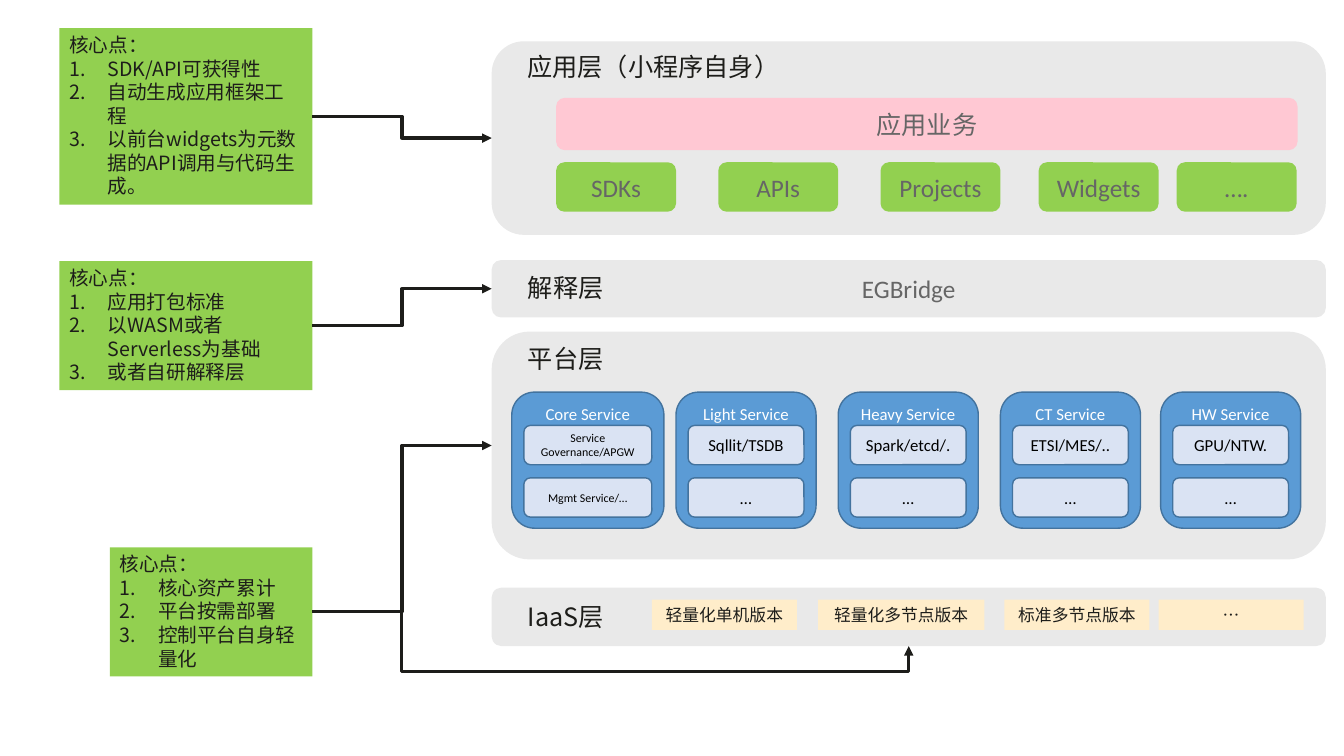
from collections import namedtuple

from lxml.etree import SubElement
from pptx import Presentation
from pptx.dml.color import RGBColor
from pptx.enum.shapes import MSO_CONNECTOR as Connector, MSO_SHAPE as Shape
from pptx.enum.text import MSO_ANCHOR as Anchor, PP_ALIGN as Align
from pptx.oxml.ns import qn
from pptx.util import Inches, Pt

# The slide is a grid of square cells, 133.4 columns by 75 rows
CELL = Inches(0.1)
COLUMNS, ROWS = 133.4, 75
Box = namedtuple("Box", "left top width height")

LATIN, CJK = "Calibri", "Noto Sans CJK SC"
WHITE = RGBColor(0xFF, 0xFF, 0xFF)
BLACK = RGBColor(0x00, 0x00, 0x00)
INK = RGBColor(0x1D, 0x1D, 0x1A)
GRAY = RGBColor(0x66, 0x66, 0x66)
PANEL = RGBColor(0xE9, 0xE9, 0xE9)
GREEN = RGBColor(0x92, 0xD0, 0x50)
PINK = RGBColor(0xFF, 0xC8, 0xD3)
CREAM = RGBColor(0xFF, 0xED, 0xCA)
BLUE = RGBColor(0x5B, 0x9B, 0xD5)
PALE_BLUE = RGBColor(0xDA, 0xE3, 0xF3)
OUTLINE = RGBColor(0x43, 0x73, 0x9E)

APPLICATION_BOX = Box(48.8, 4.1, 82.8, 19.2)
BRIDGE_BOX = Box(48.8, 25.8, 82.8, 5.7)
PLATFORM_BOX = Box(48.8, 32.9, 82.8, 22.6)
IAAS_BOX = Box(48.8, 58.3, 82.8, 5.8)

# Columns are counted from the left edge of the layer
TOOLS = [("SDKs", 6.4), ("APIs", 22.5), ("Projects", 38.6), ("Widgets", 54.3), ("….", 68)]
SERVICES = [
    ("Core Service", 2, 15.1, 8.5, ["Service Governance/APGW", "Mgmt Service/…"]),
    ("Light Service", 18.3, 13.9, 12, ["Sqllit/TSDB", "…"]),
    ("Heavy Service", 34.4, 13.9, 12, ["Spark/etcd/.", "…"]),
    ("CT Service", 50.5, 13.9, 12, ["ETSI/MES/..", "…"]),
    ("HW Service", 66.4, 13.9, 12, ["GPU/NTW.", "…"]),
]
EDITIONS = [("轻量化单机版本", 15.9, 14.4), ("轻量化多节点版本", 32.4, 16.5),
            ("标准多节点版本", 50.9, 14.4), ("…", 66.2, 14.4)]


def inside(box, left, top, width, height):
    return Box(box.left + left, box.top + top, width, height)


def to_length(box):
    return [int(cells * CELL) for cells in box]


def write_text(shape, text, size=18, color=INK, font=LATIN, align=Align.CENTER,
               anchor=Anchor.MIDDLE, numbered=False):
    frame = shape.text_frame
    frame.word_wrap = True
    frame.vertical_anchor = anchor
    for index, line in enumerate(text.split("\n")):
        paragraph = frame.paragraphs[0] if index == 0 else frame.add_paragraph()
        paragraph.alignment = align
        if numbered and index:
            properties = paragraph._p.get_or_add_pPr()
            properties.set("marL", str(Inches(0.38)))
            properties.set("indent", str(-Inches(0.38)))
            SubElement(properties, qn("a:buFont"), typeface="+mj-lt")
            SubElement(properties, qn("a:buAutoNum"), type="arabicPeriod")
        run = paragraph.add_run()
        run.text = line
        run.font.size = Pt(size)
        run.font.name = font
        run.font.color.rgb = color
        if font == CJK:
            SubElement(run._r.get_or_add_rPr(), qn("a:ea"), typeface=CJK)


def add_block(slide, box, fill, text="", kind=Shape.ROUNDED_RECTANGLE, line=None, **style):
    shape = slide.shapes.add_shape(kind, *to_length(box))
    shape.shadow.inherit = False
    shape.fill.solid()
    shape.fill.fore_color.rgb = fill
    if line is None:
        shape.line.fill.background()
    else:
        shape.line.color.rgb = line
        shape.line.width = Pt(1)
    if text:
        write_text(shape, text, **style)
    return shape


def add_label(slide, box, text):
    label = slide.shapes.add_textbox(*to_length(box))
    write_text(label, text, font=CJK, anchor=Anchor.TOP)


def add_application_layer(slide, box):
    panel = add_block(slide, box, PANEL)
    add_label(slide, inside(box, 1.8, 0.5, 28.5, 4), "应用层（小程序自身）")
    add_block(slide, inside(box, 6.4, 5.6, 73.6, 5.2), PINK, "应用业务", color=GRAY)
    for name, left in TOOLS:
        add_block(slide, inside(box, left, 12, 11.9, 4.9), GREEN, name, color=GRAY)
    return panel


def add_bridge_layer(slide, box):
    panel = add_block(slide, box, PANEL, "EGBridge", color=GRAY)
    add_label(slide, inside(box, 2.1, 0.7, 10.5, 4), "解释层")
    return panel


def add_service(slide, box, name, size, parts):
    add_block(slide, box, BLUE, name, line=OUTLINE, size=12, color=WHITE, anchor=Anchor.TOP)
    for row, part in enumerate(parts):
        part_box = inside(box, 1.2, 3.3 + 5.2 * row, box.width - 2.4, 3.9)
        add_block(slide, part_box, PALE_BLUE, part, line=OUTLINE, size=size, color=BLACK)


def add_platform_layer(slide, box):
    panel = add_block(slide, box, PANEL)
    add_label(slide, inside(box, 2.1, 0.7, 10.5, 4), "平台层")
    for name, left, width, size, parts in SERVICES:
        add_service(slide, inside(box, left, 6, width, 13.5), name, size, parts)
    return panel


def add_iaas_layer(slide, box):
    panel = add_block(slide, box, PANEL)
    add_label(slide, inside(box, 2.1, 0.9, 10.5, 4), "IaaS层")
    for name, left, width in EDITIONS:
        add_block(slide, inside(box, left, 1.2, width, 3), CREAM, name, kind=Shape.RECTANGLE,
                  size=12, font=CJK, anchor=Anchor.TOP)
    return panel


def add_note(slide, box, points):
    return add_block(slide, box, GREEN, "\n".join(["核心点：", *points]), kind=Shape.RECTANGLE,
                     size=14, font=CJK, align=Align.LEFT, anchor=Anchor.TOP, numbered=True)


def add_arrow(slide, note, layer, side=1, bends=None):
    """Join the right side of a note to one side of a layer with an elbow arrow."""
    arrow = slide.shapes.add_connector(Connector.ELBOW, 0, 0, 0, 0)
    arrow.begin_connect(note, 3)
    arrow.end_connect(layer, side)
    arrow.line.color.rgb = INK
    arrow.line.width = Pt(2.25)
    properties = arrow._element.spPr
    SubElement(properties.find(qn("a:ln")), qn("a:tailEnd"), type="triangle")
    SubElement(properties, qn("a:effectLst"))
    if bends:
        geometry = properties.find(qn("a:prstGeom"))
        geometry.set("prst", "bentConnector4")
        guides = geometry.find(qn("a:avLst"))
        for number, share in enumerate(bends, 1):
            SubElement(guides, qn("a:gd"), name=f"adj{number}", fmla=f"val {round(share * 100000)}")


def main():
    presentation = Presentation()
    presentation.slide_width = int(COLUMNS * CELL)
    presentation.slide_height = ROWS * CELL
    slide = presentation.slides.add_slide(presentation.slide_layouts[6])

    # Layers of the architecture
    bridge = add_bridge_layer(slide, BRIDGE_BOX)
    platform = add_platform_layer(slide, PLATFORM_BOX)
    application = add_application_layer(slide, APPLICATION_BOX)
    iaas = add_iaas_layer(slide, IAAS_BOX)

    # Key points beside the layers
    platform_note = add_note(slide, Box(10.9, 54.3, 20.1, 12.8),
                             ["核心资产累计", "平台按需部署", "控制平台自身轻量化"])
    bridge_note = add_note(slide, Box(5.9, 25.9, 25.1, 12.8),
                           ["应用打包标准", "以WASM或者Serverless为基础", "或者自研解释层"])
    application_note = add_note(slide, Box(5.9, 2.8, 25.1, 17.5),
                                ["SDK/API可获得性", "自动生成应用框架工程",
                                 "以前台widgets为元数据的API调用与代码生成。"])

    # Arrows from the key points to the layers
    add_arrow(slide, platform_note, platform)
    add_arrow(slide, bridge_note, bridge)
    add_arrow(slide, application_note, application)
    add_arrow(slide, platform_note, iaas, side=2, bends=(0.15, 1.73))

    presentation.save("out.pptx")


if __name__ == "__main__":
    main()
